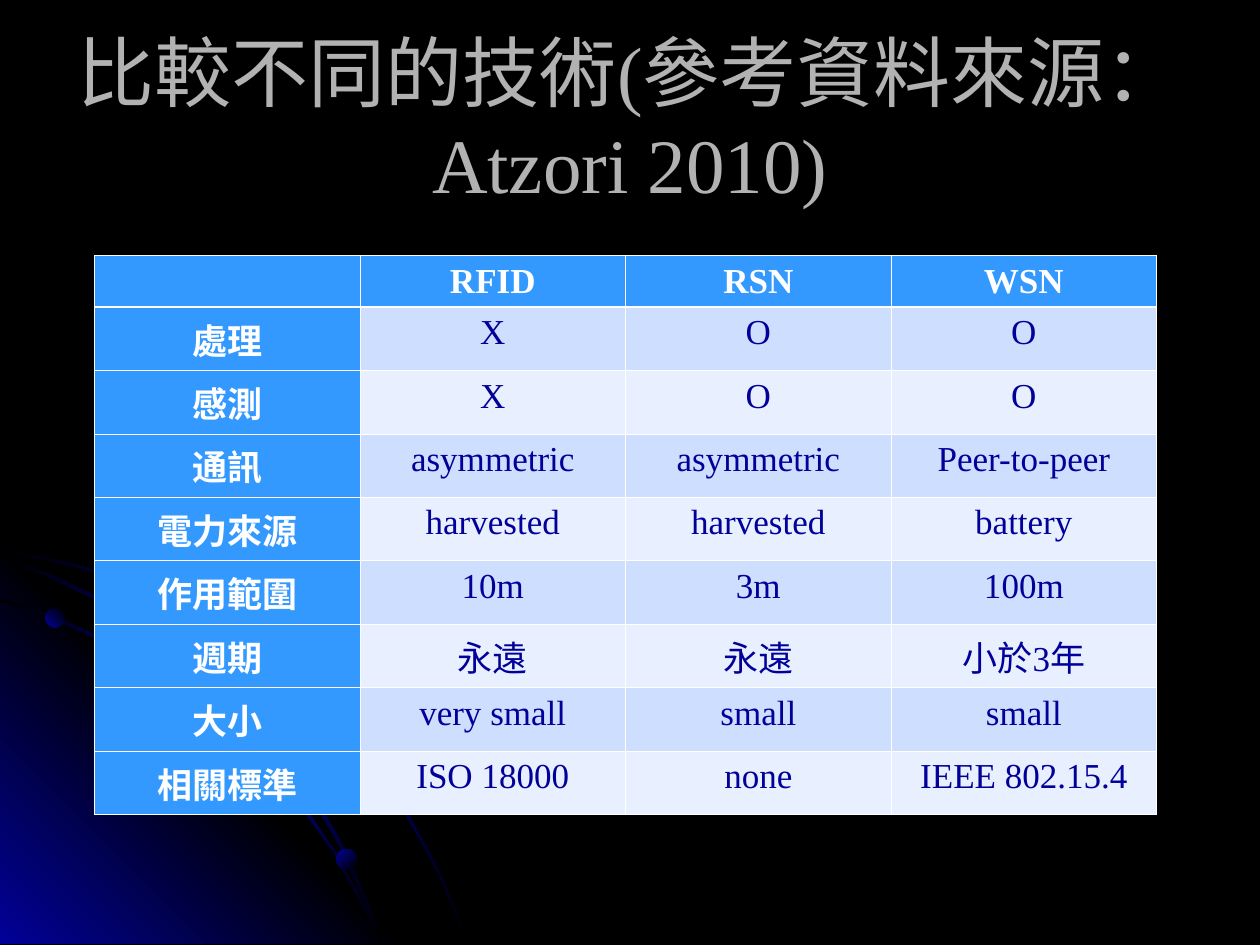
from lxml.etree import SubElement
from pptx import Presentation
from pptx.dml.color import RGBColor
from pptx.enum.shapes import MSO_SHAPE
from pptx.enum.text import MSO_ANCHOR, MSO_AUTO_SIZE, PP_ALIGN
from pptx.oxml.ns import qn
from pptx.util import Pt


class Theme:
    font = "Times New Roman"
    title_size = Pt(44)
    table_size = Pt(20)
    black = "000000"
    navy = "010199"
    blue = "3399FF"
    white = "FFFFFF"
    grey = "B2B2B2"
    bands = ("CDDEFF", "E8EFFF")
    thin = Pt(0.45)
    thick = Pt(1.47)


def paint_gradient(shape, colours, degrees):
    shape.shadow.inherit = False
    shape.line.fill.background()
    shape.fill.gradient()
    gradient = shape.fill._xPr.find(qn("a:gradFill"))
    for child in list(gradient):
        gradient.remove(child)
    stops = SubElement(gradient, qn("a:gsLst"))
    for i, colour in enumerate(colours):
        stop = SubElement(stops, qn("a:gs"), pos=str(100000 * i // (len(colours) - 1)))
        SubElement(stop, qn("a:srgbClr"), val=colour)
    SubElement(gradient, qn("a:lin"), ang=str(degrees * 60000), scaled="0")


def add_text(frame, text, size, colour, bold=False):
    paragraph = frame.paragraphs[0]
    paragraph.alignment = PP_ALIGN.CENTER
    run = paragraph.add_run()
    run.text = text
    run.font.name = Theme.font
    run.font.size = size
    run.font.bold = bold
    run.font.color.rgb = RGBColor.from_string(colour)


prs = Presentation()
prs.slide_width, prs.slide_height = Pt(720), Pt(540)
slide = prs.slides.add_slide(prs.slide_layouts[5])
slide.background.fill.solid()
slide.background.fill.fore_color.rgb = RGBColor.from_string(Theme.black)

outer_arc = [
    (57, 447), (28, 441), (0, 435), (0, 438), (28, 443), (56, 449), (97, 461),
    (135, 478), (173, 499), (208, 523), (241, 549), (271, 579), (298, 612),
    (323, 649), (337, 673), (350, 698), (360, 723), (370, 749), (372, 749),
    (362, 723), (352, 698), (339, 673), (325, 648), (300, 611), (272, 578),
    (242, 548), (209, 521), (174, 497), (136, 477), (98, 459),
]
corner = [(322, 749), (0, 749), (0, 427)]
inner_arc = [
    (285, 714), (294, 732), (301, 749), (303, 749), (296, 730), (286, 712),
    (266, 676), (242, 640), (215, 606), (184, 576), (152, 549), (117, 526),
    (79, 505), (41, 488), (0, 475), (0, 477), (39, 490), (77, 507), (115, 528),
    (150, 551), (183, 578), (213, 608), (240, 642), (265, 677),
]
middle_arc = [
    (0, 442), (0, 444), (36, 457), (74, 475), (109, 494), (142, 518), (173, 544),
    (202, 575), (227, 605), (252, 641), (267, 667), (280, 694), (292, 722),
    (301, 749), (303, 749), (294, 720), (282, 693), (269, 665), (254, 639),
    (229, 603), (204, 573), (175, 543), (144, 516), (111, 493), (76, 473), (39, 455),
]
arc_colours = (Theme.black, Theme.navy, Theme.black)
corner_colours = (Theme.navy, Theme.black, Theme.navy)
for outline, colours, degrees in [
    (outer_arc, arc_colours, 45),
    (corner, corner_colours, 315),
    (inner_arc, arc_colours, 45),
    (middle_arc, arc_colours, 45),
]:
    builder = slide.shapes.build_freeform(*outline[0], scale=Pt(0.72))
    builder.add_line_segments(outline[1:], close=True)
    paint_gradient(builder.convert_to_shape(), colours, degrees)

for left, top, diameter, degrees in [
    (25.9, 347.8, 10.8, 315),
    (192.2, 485.3, 11.5, 45),
    (98.6, 340.6, 15.1, 315),
]:
    bead = slide.shapes.add_shape(
        MSO_SHAPE.OVAL, Pt(left), Pt(top), Pt(diameter), Pt(diameter))
    paint_gradient(bead, (Theme.navy, Theme.black), degrees)

title = slide.shapes.title
title.left, title.top, title.width, title.height = Pt(36), Pt(21.6), Pt(648), Pt(90)
title.text_frame.word_wrap = True
title.text_frame.auto_size = MSO_AUTO_SIZE.NONE
title.text_frame.vertical_anchor = MSO_ANCHOR.MIDDLE
add_text(title.text_frame, "比較不同的技術(參考資料來源：Atzori 2010)",
         Theme.title_size, Theme.grey)

comparison = [
    ("", "RFID", "RSN", "WSN"),
    ("處理", "X", "O", "O"),
    ("感測", "X", "O", "O"),
    ("通訊", "asymmetric", "asymmetric", "Peer-to-peer"),
    ("電力來源", "harvested", "harvested", "battery"),
    ("作用範圍", "10m", "3m", "100m"),
    ("週期", "永遠", "永遠", "小於3年"),
    ("大小", "very small", "small", "small"),
    ("相關標準", "ISO 18000", "none", "IEEE 802.15.4"),
]
table = slide.shapes.add_table(
    len(comparison), 4, Pt(54), Pt(146), Pt(607), Pt(237.6)).table
for column in table.columns:
    column.width = Pt(151.75)
for r, entries in enumerate(comparison):
    table.rows[r].height = Pt(28.8 if r else 27.4)
    for c, entry in enumerate(entries):
        cell = table.cell(r, c)
        heading = r == 0 or c == 0
        cell.margin_left = cell.margin_right = Pt(5.2)
        cell.margin_top = cell.margin_bottom = Pt(3.6)
        properties = cell._tc.get_or_add_tcPr()
        for side in "LRTB":
            under_header = (r, side) in ((0, "B"), (1, "T"))
            width = Theme.thick if under_header else Theme.thin
            border = SubElement(properties, qn(f"a:ln{side}"), w=str(width))
            SubElement(SubElement(border, qn("a:solidFill")),
                       qn("a:srgbClr"), val=Theme.white)
        cell.fill.solid()
        cell.fill.fore_color.rgb = RGBColor.from_string(
            Theme.blue if heading else Theme.bands[(r - 1) % 2])
        if entry:
            add_text(cell.text_frame, entry, Theme.table_size,
                     Theme.white if heading else Theme.navy, heading)

prs.save("out.pptx")
